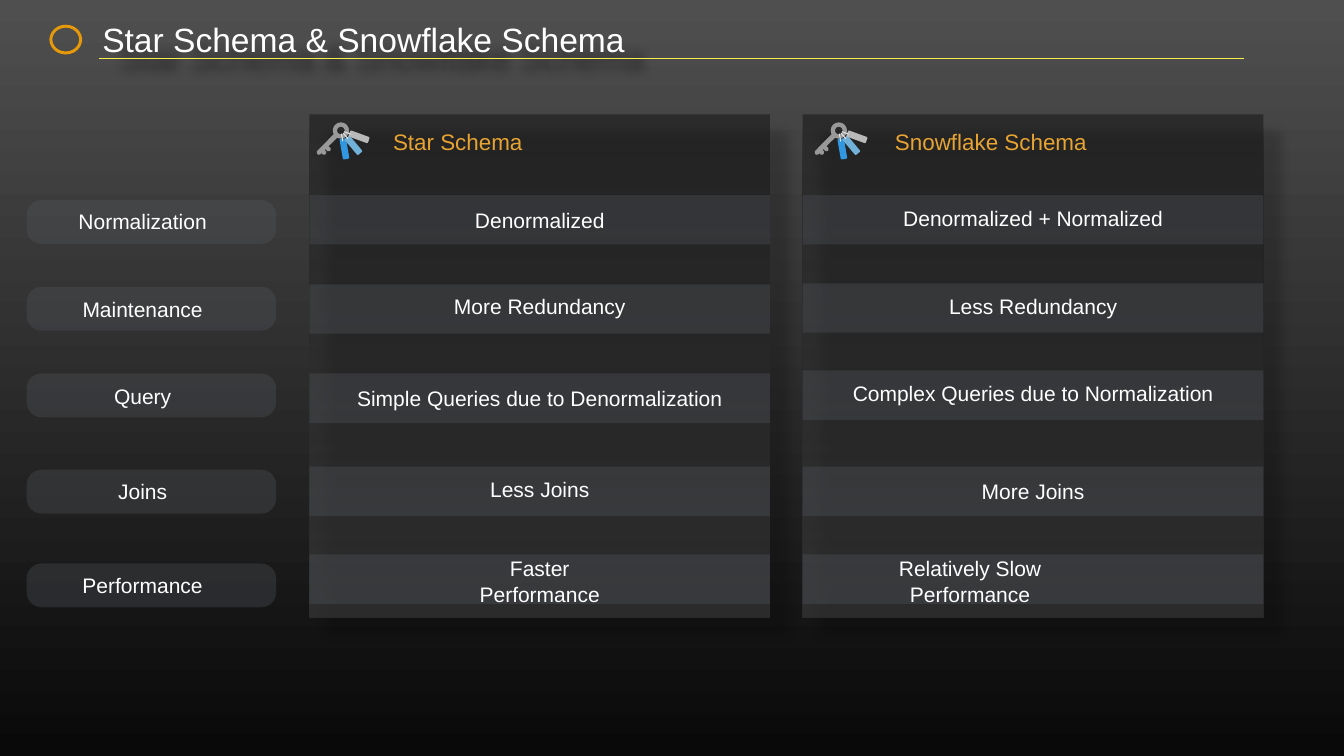
from math import cos, radians, sin

from pptx import Presentation
from pptx.dml.color import RGBColor as RGB
from pptx.enum.shapes import MSO_CONNECTOR as CONN, MSO_SHAPE as SHAPE
from pptx.enum.text import MSO_ANCHOR as ANCHOR, PP_ALIGN as ALIGN
from pptx.oxml.ns import qn
from pptx.util import Pt
from lxml.etree import SubElement

PX = 9144
INSET = 8
FONT = "Arial"

WHITE, GOLD, YELLOW = RGB(255, 255, 255), RGB(0xE8, 0xA4, 0x32), RGB(0xF8, 0xEF, 0x4A)
DARK, GREY, SLATE = RGB(9, 9, 9), RGB(0x4F, 0x4F, 0x4F), RGB(0x53, 0x58, 0x5F)
STEEL, STRING, ORANGE = RGB(0x99, 0x99, 0x99), RGB(0xE5, 0xE5, 0xE5), RGB(0xE6, 0x9A, 0x0A)

TITLE = "Star Schema & Snowflake Schema"

# left, header left, key left, bar tops, cells of (text, centre, top, width)
PANELS = [
    (614, 772, 628, "Star Schema", [387, 564, 741, 926, 1100], [
        ("Denormalized", 1071, 403, 277),
        ("More Redundancy", 1071, 575, 361),
        ("Simple Queries due to Denormalization", 1071, 756, 745),
        ("Less Joins", 1071, 938, 214),
        ("Faster Performance", 1071, 1120, 384)]),
    (1593, 1768, 1616, "Snowflake Schema", [387, 562, 735, 926, 1100], [
        ("Denormalized + Normalized", 2050, 399, 541),
        ("Less Redundancy", 2050, 575, 355),
        ("Complex Queries due to Normalization", 2050, 748, 738),
        ("More Joins", 2050, 942, 220),
        ("Relatively Slow Performance", 1925, 1120, 296)]),
]
WRAPPED = "Relatively Slow Performance"

LABELS = [("Normalization", 397, 406, 272), ("Maintenance", 569, 580, 258),
          ("Query", 741, 752, 131), ("Joins", 932, 942, 114),
          ("Performance", 1118, 1128, 257)]

KEY_BLADE = [(1, 57), (1, 61), (3, 64), (7, 64), (10, 61), (13, 64), (17, 64), (19, 61),
             (19, 57), (16, 55), (18, 53), (22, 57), (26, 57), (28, 55), (28, 51), (24, 47)]
KEY_TAGS = [
    (80, (35, 46), RGB(0x31, 0x97, 0xE0), (51, 35), RGB(0x34, 0x84, 0xC9), (43, 29)),
    (50, (53, 39), RGB(0x72, 0xB1, 0xD7), (61, 31), RGB(0x64, 0x9A, 0xBC), (50, 26)),
    (20, (64, 22), RGB(0xB9, 0xB9, 0xB9), (67, 22), STEEL, (54, 20)),
]


def px(*values):
    return [round(v * PX) for v in values]


def set_alpha(fill_element, percent):
    for color in fill_element.iter(qn("a:srgbClr")):
        SubElement(color, qn("a:alpha"), val=str(percent * 1000))


def set_gradient(fill, top, bottom):
    fill.gradient()
    fill.gradient_angle = 270
    for stop, color in zip(fill.gradient_stops, (top, bottom)):
        stop.color.rgb = color


def add_shadow(sp):
    effects = SubElement(sp._element.spPr, qn("a:effectLst"))
    shadow = SubElement(effects, qn("a:outerShdw"), blurRad=str(Pt(15)), dist=str(Pt(36)),
                        dir="2700000", algn="tl", rotWithShape="0")
    color = SubElement(shadow, qn("a:srgbClr"), val="010101")
    SubElement(color, qn("a:alpha"), val="46000")


def paint(sp, color, alpha=None):
    sp.shadow.inherit = False
    sp.line.fill.background()
    sp.fill.solid()
    sp.fill.fore_color.rgb = color
    if alpha:
        set_alpha(sp._element.spPr, alpha)


def add_block(shapes, kind, box, color, alpha=None, rotation=0, corner=None):
    sp = shapes.add_shape(kind, *px(*box))
    paint(sp, color, alpha)
    sp.rotation = rotation
    if corner is not None:
        sp.adjustments[0] = corner
    return sp


def write(sp, text, size, color, align=ALIGN.LEFT, wrap=True, inset=INSET):
    tf = sp.text_frame
    tf.word_wrap = wrap
    tf.vertical_anchor = ANCHOR.MIDDLE
    tf.margin_left = tf.margin_right = inset * PX
    tf.margin_top = tf.margin_bottom = INSET * PX
    p = tf.paragraphs[0]
    p.alignment = align
    r = p.add_run()
    r.text = text
    r.font.size, r.font.name = Pt(size), FONT
    r.font.color.rgb = color


def add_centred(shapes, text, centre, top, width):
    sp = shapes.add_textbox(*px(centre - width / 2, top, width, 66))
    wrap = text == WRAPPED
    write(sp, text, 30, WHITE, ALIGN.CENTER, wrap, 0 if wrap else INSET)


def arc(radius, start, end, step):
    return [(48.5 + radius * cos(radians(a)), 16 + radius * sin(radians(a)))
            for a in range(start, end, step)]


def add_key(shapes, left, top):
    def place(points):
        return [px(left + x, top + y) for x, y in points]

    outline = place(KEY_BLADE + arc(16, 117, -216, -9))
    hole = place(arc(7.5, 0, 360, 15))
    builder = shapes.build_freeform(*outline[0], scale=1.0)
    builder.add_line_segments(outline[1:], close=True)
    builder.move_to(*hole[0])
    builder.add_line_segments(hole[1:], close=True)
    paint(builder.convert_to_shape(), STEEL)
    for angle, tag, tag_color, eyelet, eyelet_color, string in KEY_TAGS:
        for kind, (x, y), size, color, corner in (
                (SHAPE.ROUNDED_RECTANGLE, tag, (41, 13), tag_color, 0.19),
                (SHAPE.OVAL, eyelet, (3, 3), eyelet_color, None),
                (SHAPE.ROUNDED_RECTANGLE, string, (16, 2), STRING, 0.5)):
            add_block(shapes, kind, (left + x, top + y, *size), color,
                      rotation=angle, corner=corner)


def add_panel(shapes, left, header_left, key_left, header):
    group = shapes.add_group_shape().shapes
    sp = group.add_shape(SHAPE.RECTANGLE, *px(left, 227, 914, 998))
    sp.line.fill.background()
    set_gradient(sp.fill, DARK, GREY)
    set_alpha(sp._element.spPr, 41)
    add_shadow(sp)
    add_key(group, key_left, 243)
    write(group.add_textbox(*px(header_left, 249, 457, 63)), header, 32, GOLD)


def main():
    prs = Presentation()
    prs.slide_width, prs.slide_height = px(2667, 1500)
    s = prs.slides.add_slide(prs.slide_layouts[5])
    set_gradient(s.background.fill, GREY, DARK)
    shapes = s.shapes

    title = shapes.title
    title.left, title.top, title.width, title.height = px(195, 39, 1057, 77)
    write(title, TITLE, 48, WHITE)
    add_shadow(title)

    rule = shapes.add_connector(CONN.STRAIGHT, *px(197, 115, 2469, 115))
    rule.line.color.rgb = YELLOW
    rule.line.width = Pt(1)
    SubElement(rule._element.spPr, qn("a:effectLst"))
    add_block(shapes, SHAPE.DONUT, (98, 49, 65, 59), ORANGE, corner=0.1)

    for left, header_left, key_left, header, bar_tops, cells in PANELS:
        add_panel(shapes, left, header_left, key_left, header)
        for bar_top, cell in zip(bar_tops, cells):
            add_block(shapes, SHAPE.RECTANGLE, (left, bar_top, 914, 98), SLATE, 34)
            add_centred(shapes, *cell)

    for text, top, text_top, width in LABELS:
        group = shapes.add_group_shape().shapes
        add_block(group, SHAPE.ROUNDED_RECTANGLE, (53, top, 495, 87), SLATE, 32, corner=0.34)
        add_centred(group, text, 283, text_top, width)

    prs.save("out.pptx")


if __name__ == "__main__":
    main()
